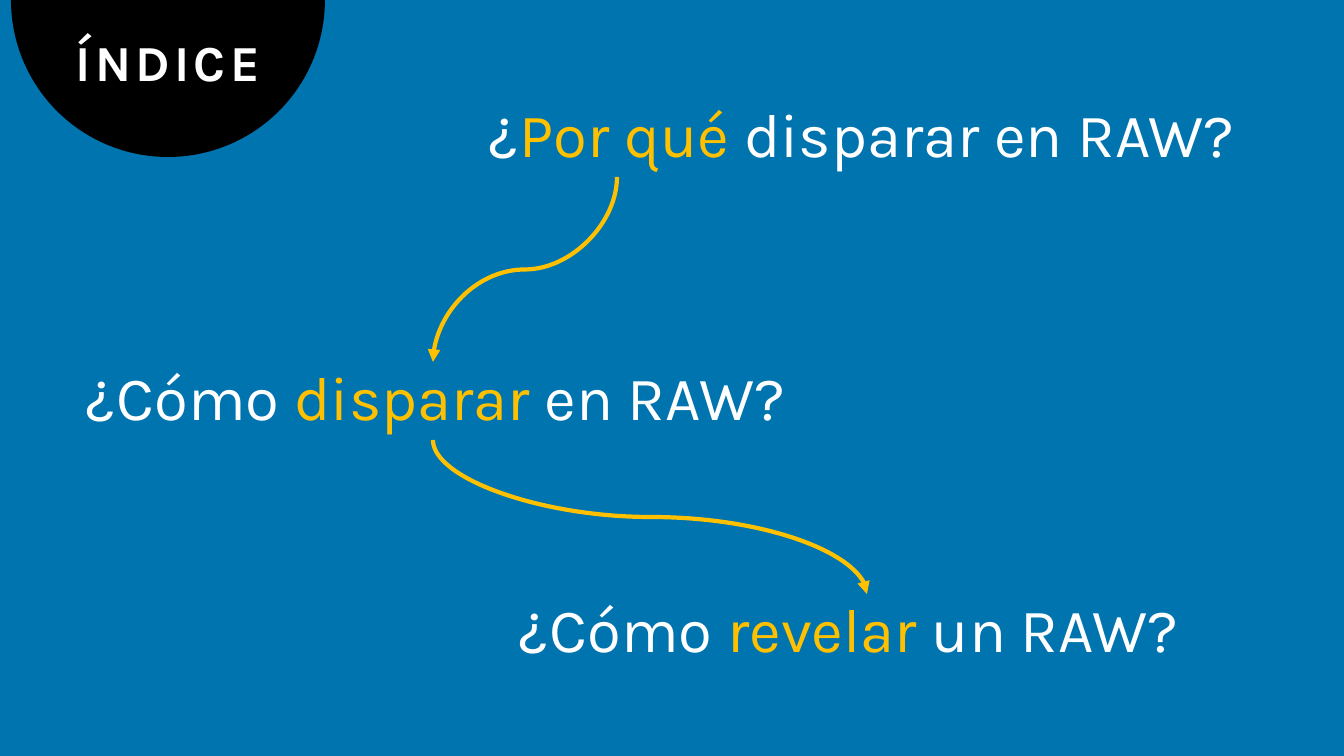
from lxml.etree import SubElement
from pptx import Presentation
from pptx.dml.color import RGBColor
from pptx.enum.shapes import MSO_CONNECTOR, MSO_SHAPE
from pptx.enum.text import MSO_ANCHOR
from pptx.oxml.ns import qn
from pptx.util import Emu, Pt

EMU_PER_PX = 914400 / 100.8
COLORS = {"blue": "0074AF", "black": "000000", "white": "FFFFFF", "amber": "FFC000"}
TITLE_FORMAT = {"name": "Karla", "size": Pt(36), "bold": True}
QUESTION_FORMAT = {"name": "Karla", "size": Pt(44), "bold": False}
QUESTIONS = [
    ((469, 99, 795, 78), [("¿", "white"), ("Por qué ", "amber"), ("disparar en RAW?", "white")]),
    ((66, 362, 737, 78), [("¿Cómo ", "white"), ("disparar", "amber"), (" en RAW?", "white")]),
    ((499, 594, 735, 78), [("¿Cómo ", "white"), ("revelar", "amber"), (" un RAW?", "white")]),
]
ARROWS = [((617, 177), (433, 362)), ((433, 440), (867, 594))]


def px(length):
    return Emu(round(length * EMU_PER_PX))


def color(name):
    return RGBColor.from_string(COLORS[name])


def add_text(slide, box, runs, font_format, anchor, left_inset=10, spacing=0):
    """Add one line of coloured runs; spacing is in hundredths of a point."""
    frame = slide.shapes.add_textbox(*map(px, box)).text_frame
    frame_format = {"word_wrap": True, "vertical_anchor": anchor, "margin_left": px(left_inset)}
    for name, value in frame_format.items():
        setattr(frame, name, value)
    paragraph = frame.paragraphs[0]
    paragraph.line_spacing = 0.9
    for text, color_name in runs:
        run = paragraph.add_run()
        run.text = text
        for name, value in font_format.items():
            setattr(run.font, name, value)
        run.font.color.rgb = color(color_name)
        if spacing:
            run.font._element.set("spc", str(spacing))


def add_circle(slide, center_x, center_y, radius):
    box = (center_x - radius, center_y - radius, 2 * radius, 2 * radius)
    circle = slide.shapes.add_shape(MSO_SHAPE.OVAL, *map(px, box))
    circle.shadow.inherit = False
    circle.fill.solid()
    circle.fill.fore_color.rgb = color("black")
    circle.line.fill.background()


def add_curved_arrow(slide, start, end):
    """Draw an S curve that leaves and arrives vertically, as a quarter-turned connector."""
    (start_x, start_y), (end_x, end_y) = start, end
    center_x, center_y = (start_x + end_x) / 2, (start_y + end_y) / 2
    half_height = abs(end_x - start_x) / 2
    rightward = end_x > start_x
    offset = (end_y - start_y) / 2 * (1 if rightward else -1)
    corners = (center_x + offset, center_y - half_height,
               center_x - offset, center_y + half_height)
    arrow = slide.shapes.add_connector(MSO_CONNECTOR.CURVE, *map(px, corners))
    arrow.rotation = 270 if rightward else 90
    arrow.line.color.rgb = color("amber")
    arrow.line.width = Pt(3)
    SubElement(arrow.line._get_or_add_ln(), qn("a:tailEnd"), type="triangle")
    SubElement(arrow._element.spPr, qn("a:effectLst"))


def main():
    presentation = Presentation()
    presentation.slide_width, presentation.slide_height = px(1344), px(756)
    slide = presentation.slides.add_slide(presentation.slide_layouts[6])
    slide.background.fill.solid()
    slide.background.fill.fore_color.rgb = color("blue")

    for box, runs in QUESTIONS:
        add_text(slide, box, runs, QUESTION_FORMAT, MSO_ANCHOR.MIDDLE, left_inset=20)
    for start, end in ARROWS:
        add_curved_arrow(slide, start, end)
    add_circle(slide, 168, 0, 157)
    add_text(slide, (66, 33, 210, 66), [("ÍNDICE", "white")], TITLE_FORMAT,
             MSO_ANCHOR.TOP, spacing=300)
    presentation.save("out.pptx")


if __name__ == "__main__":
    main()
